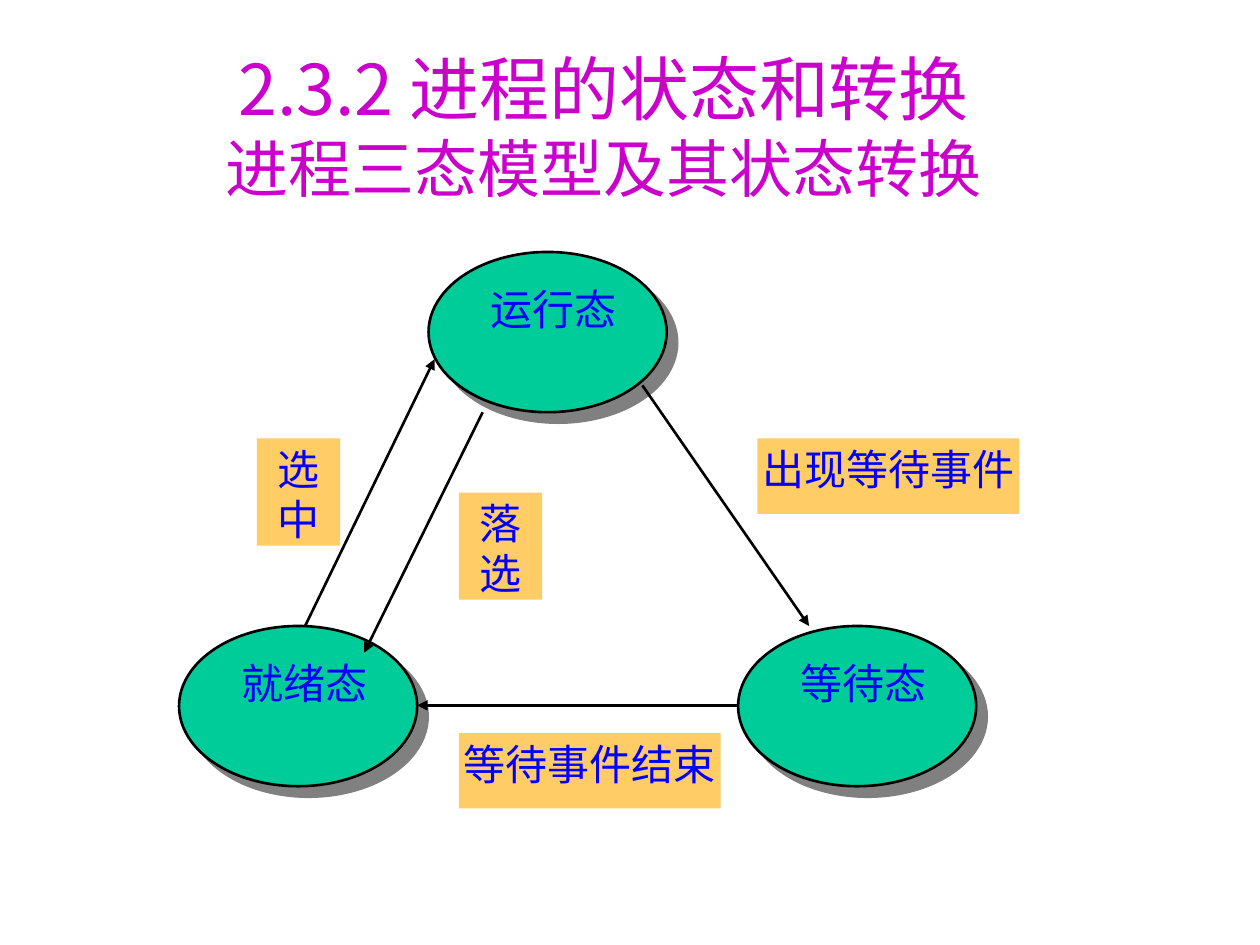
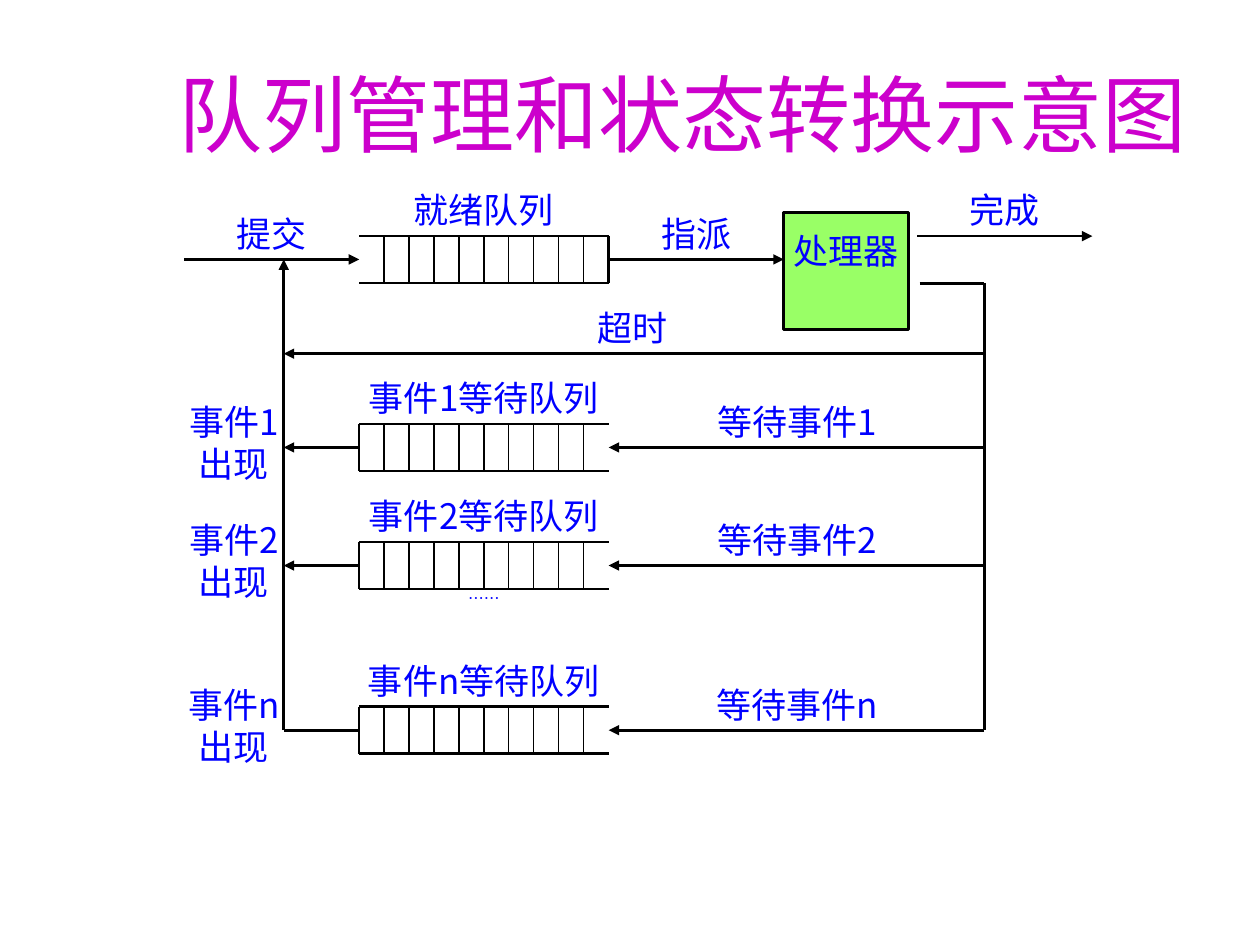
from dataclasses import dataclass

from lxml.etree import SubElement
from pptx import Presentation
from pptx.dml.color import RGBColor
from pptx.enum.shapes import MSO_CONNECTOR as Connector, MSO_SHAPE as Preset
from pptx.enum.text import MSO_ANCHOR as Anchor, MSO_AUTO_SIZE as AutoSize, PP_ALIGN as Align
from pptx.oxml.ns import qn
from pptx.util import Cm, Pt

FONT = "Noto Sans CJK JP"
BLACK = "000000"
PURPLE = "CC00CC"
BLUE = "0000FF"
TEAL = "00CC99"
ORANGE = "FFCC66"
GREEN = "99FF66"
GREY = "808080"
LINE_RATIO = 1.2
THICK = 1.5
THIN = 0.75


@dataclass
class Area:
    left: float
    top: float
    width: float
    height: float

    def lengths(self) -> tuple:
        return Cm(self.left), Cm(self.top), Cm(self.width), Cm(self.height)


@dataclass
class Label:
    text: str
    area: Area
    size: float = 20
    fill: str = ""
    border: str = ""
    top_inset: float = 0


@dataclass
class State:
    name: str
    left: float
    top: float


@dataclass
class Line:
    x1: float
    y1: float
    x2: float
    y2: float
    arrow: bool = True
    width: float = THICK


@dataclass
class EventRow:
    event: str
    middle: float
    arrow: bool = True


def color(value: str) -> RGBColor:
    return RGBColor.from_string(value)


def write_lines(frame, lines: list[tuple[str, float]], ink: str) -> None:
    for index, (text, size) in enumerate(lines):
        para = frame.add_paragraph() if index else frame.paragraphs[0]
        para.text = text
        para.alignment = Align.CENTER
        para.line_spacing = Pt(size * LINE_RATIO)
        para.space_before = para.space_after = Pt(0)
        para.font.name = FONT
        para.font.size = Pt(size)
        para.font.color.rgb = color(ink)
        defaults = para._p.get_or_add_pPr().get_or_add_defRPr()
        SubElement(defaults, qn("a:ea"), typeface=FONT)


def set_title(page, lines: list[tuple[str, float]], area: Area) -> None:
    title = page.shapes.title
    title.left, title.top, title.width, title.height = area.lengths()
    frame = title.text_frame
    frame.auto_size = AutoSize.NONE
    frame.word_wrap = True
    frame.vertical_anchor = Anchor.MIDDLE
    frame.margin_left = frame.margin_right = Cm(0.25)
    frame.margin_top = Cm(0.13)
    frame.margin_bottom = Cm(0.13) + Pt(lines[-1][1] * LINE_RATIO)
    write_lines(frame, lines, PURPLE)


def draw_label(page, label: Label) -> None:
    if label.fill:
        box = page.shapes.add_shape(Preset.RECTANGLE, *label.area.lengths())
        box.shadow.inherit = False
        box.fill.solid()
        box.fill.fore_color.rgb = color(label.fill)
        if label.border:
            box.line.color.rgb = color(label.border)
            box.line.width = Pt(THICK)
        else:
            box.line.fill.background()
    else:
        box = page.shapes.add_textbox(*label.area.lengths())
    frame = box.text_frame
    frame.word_wrap = True
    frame.vertical_anchor = Anchor.TOP
    frame.margin_left = frame.margin_right = frame.margin_bottom = 0
    frame.margin_top = Cm(label.top_inset)
    write_lines(frame, [(text, label.size) for text in label.text.split("\n")], BLUE)


def draw_line(page, line: Line) -> None:
    ends = (Cm(line.x1), Cm(line.y1), Cm(line.x2), Cm(line.y2))
    connector = page.shapes.add_connector(Connector.STRAIGHT, *ends)
    connector.line.color.rgb = color(BLACK)
    connector.line.width = Pt(line.width)
    properties = connector._element.spPr
    if line.arrow:
        SubElement(properties.find(qn("a:ln")), qn("a:tailEnd"), type="triangle")
    SubElement(properties, qn("a:effectLst"))


def draw_ellipse(page, state: State) -> None:
    area = Area(state.left, state.top, 4.8, 3.23)
    ellipse = page.shapes.add_shape(Preset.OVAL, *area.lengths())
    ellipse.fill.solid()
    ellipse.fill.fore_color.rgb = color(TEAL)
    ellipse.line.color.rgb = color(BLACK)
    ellipse.line.width = Pt(THICK)
    ellipse.shadow.inherit = False
    effects = ellipse._element.spPr.find(qn("a:effectLst"))
    shadow = SubElement(effects, qn("a:outerShdw"), dist=str(Pt(8.5)),
                        dir=str(45 * 60000), algn="ctr", rotWithShape="0")
    SubElement(shadow, qn("a:srgbClr"), val=GREY)


def draw_queue(page, middle: float, closed_x: float) -> None:
    top, bottom = middle - QUEUE_HEIGHT / 2, middle + QUEUE_HEIGHT / 2
    for y in (top, bottom):
        draw_line(page, Line(QUEUE_LEFT, y, QUEUE_RIGHT, y, arrow=False))
    draw_line(page, Line(closed_x, top, closed_x, bottom, arrow=False))
    step = (QUEUE_RIGHT - QUEUE_LEFT) / QUEUE_CELLS
    for cell in range(1, QUEUE_CELLS):
        x = QUEUE_LEFT + cell * step
        draw_line(page, Line(x, top, x, bottom, arrow=False, width=THIN))


def queue_label(text: str, top: float, size: float = 20) -> Label:
    return Label(text, Area(QUEUE_LEFT, top, QUEUE_RIGHT - QUEUE_LEFT, LABEL_HEIGHT), size)


QUEUE_LEFT, QUEUE_RIGHT = 7.24, 12.27
QUEUE_HEIGHT = 0.95
QUEUE_CELLS = 10
LABEL_HEIGHT = 0.95
BUS_LEFT, BUS_RIGHT = 5.72, 19.84
READY_Y, TIMEOUT_Y = 5.23, 7.13
FINISH_Y, RETURN_Y = 4.76, 5.71
EVENT_ROWS = [EventRow("1", 9.02), EventRow("2", 11.4), EventRow("n", 14.72, arrow=False)]

STATES = [State("运行态", 8.64, 5.08), State("就绪态", 3.61, 12.62), State("等待态", 14.88, 12.62)]
TRANSITIONS = [
    Line(6.15, 12.62, 8.76, 7.24),
    Line(9.73, 8.31, 7.34, 13.16),
    Line(12.95, 7.77, 16.31, 12.62),
    Line(14.88, 14.22, 8.41, 14.22),
]
TRANSITION_LABELS = [
    ("选中", Area(5.18, 8.84, 1.68, 2.16)),
    ("落选", Area(9.25, 9.93, 1.68, 2.16)),
    ("出现等待事件", Area(15.27, 8.84, 5.28, 1.52)),
    ("等待事件结束", Area(9.25, 14.78, 5.28, 1.52)),
]


def build_state_page(page) -> None:
    set_title(page, [("2.3.2 进程的状态和转换", 40), ("进程三态模型及其状态转换", 36)],
              Area(0.84, 1.7, 22.66, 3.18))
    for state in STATES:
        draw_ellipse(page, state)
    for transition in TRANSITIONS:
        draw_line(page, transition)
    for state in STATES:
        area = Area(state.left + 1.09, state.top + 0.53, 2.87, 2.16)
        draw_label(page, Label(state.name, area, 24, TEAL, top_inset=0.1))
    for text, area in TRANSITION_LABELS:
        draw_label(page, Label(text, area, 24, ORANGE, top_inset=0.1))


def build_queue_page(page) -> None:
    set_title(page, [("队列管理和状态转换示意图", 48)], Area(2.97, 1.7, 21.59, 3.18))
    draw_queue(page, READY_Y, QUEUE_RIGHT)
    last_y = EVENT_ROWS[-1].middle
    for line in (
        Line(3.71, READY_Y, QUEUE_LEFT, READY_Y),
        Line(QUEUE_RIGHT, READY_Y, 15.8, READY_Y),
        Line(18.49, FINISH_Y, 22.02, FINISH_Y),
        Line(18.54, RETURN_Y, BUS_RIGHT, RETURN_Y, arrow=False),
        Line(BUS_RIGHT, RETURN_Y, BUS_RIGHT, last_y, arrow=False),
        Line(BUS_RIGHT, TIMEOUT_Y, BUS_LEFT, TIMEOUT_Y),
        Line(BUS_LEFT, last_y, BUS_LEFT, READY_Y),
    ):
        draw_line(page, line)
    for label in (
        Label("处理器", Area(15.8, 4.29, 2.51, 2.36), 20, GREEN, BLACK, 0.33),
        Label("提交", Area(4.42, READY_Y - LABEL_HEIGHT, 2.11, LABEL_HEIGHT)),
        Label("指派", Area(12.98, READY_Y - LABEL_HEIGHT, 2.11, LABEL_HEIGHT)),
        Label("完成", Area(19.2, FINISH_Y - LABEL_HEIGHT, 2.11, LABEL_HEIGHT)),
        Label("超时", Area(8.53, TIMEOUT_Y - LABEL_HEIGHT, 8.46, LABEL_HEIGHT)),
        queue_label("就绪队列", FINISH_Y - LABEL_HEIGHT),
        queue_label("……", EVENT_ROWS[1].middle + QUEUE_HEIGHT / 2, 9),
    ):
        draw_label(page, label)
    for row in EVENT_ROWS:
        y = row.middle
        label_top = y - LABEL_HEIGHT
        draw_queue(page, y, QUEUE_LEFT)
        draw_line(page, Line(BUS_RIGHT, y, QUEUE_RIGHT, y))
        draw_line(page, Line(QUEUE_LEFT, y, BUS_LEFT, y, row.arrow))
        draw_label(page, queue_label(f"事件{row.event}等待队列", label_top - QUEUE_HEIGHT / 2))
        draw_label(page, Label(f"等待事件{row.event}", Area(13.79, label_top, 4.55, LABEL_HEIGHT)))
        draw_label(page, Label(f"事件{row.event}\n出现",
                               Area(3.71, label_top, 2.01, 2 * LABEL_HEIGHT)))


deck = Presentation()
deck.slide_width, deck.slide_height = Cm(25.4), Cm(19.05)
title_only = deck.slide_layouts[5]
for build_page in (build_state_page, build_queue_page):
    build_page(deck.slides.add_slide(title_only))
deck.save("out.pptx")
